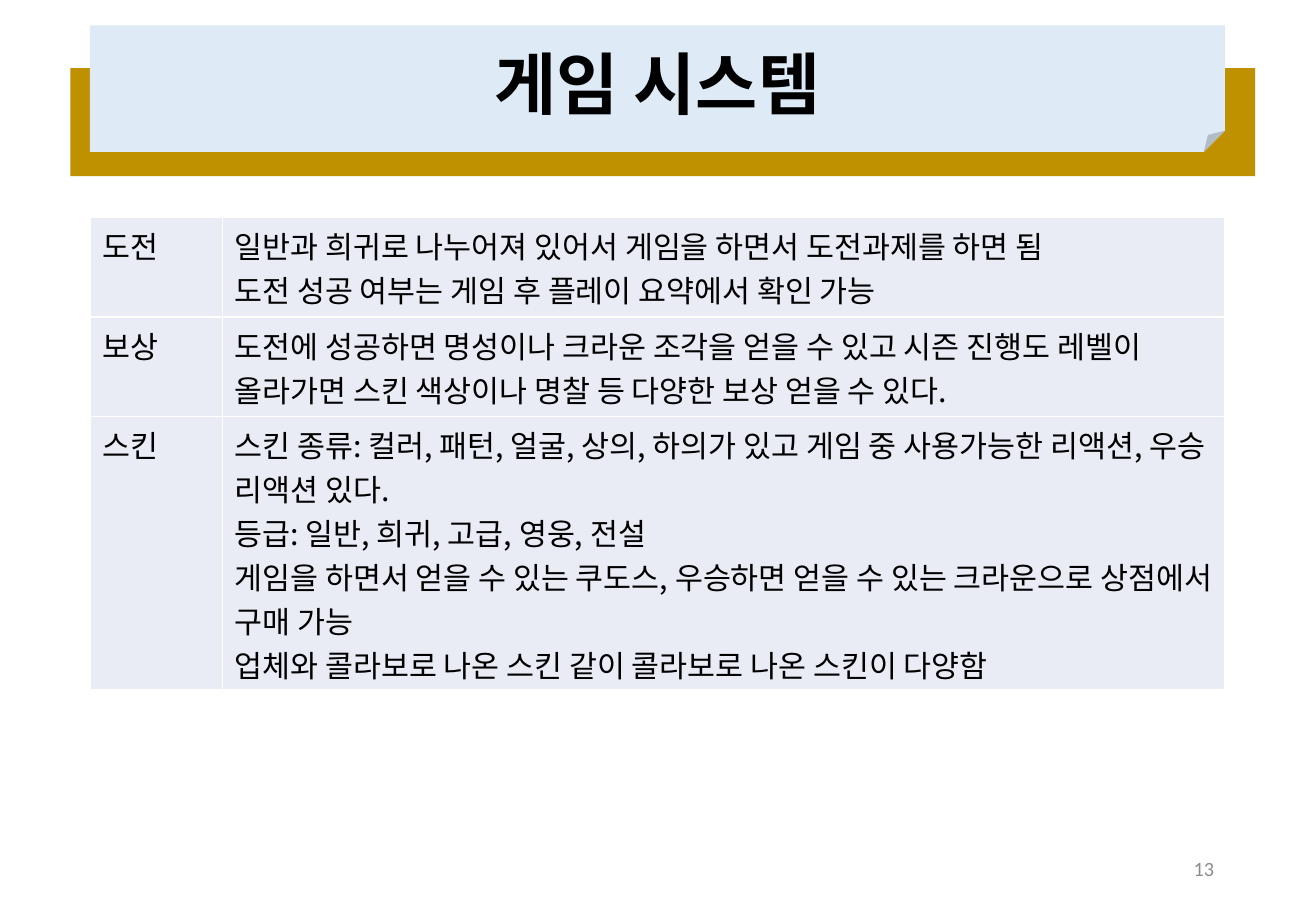
from lxml import etree
from pptx import Presentation
from pptx.dml.color import RGBColor
from pptx.enum.shapes import MSO_SHAPE
from pptx.enum.text import MSO_ANCHOR, PP_ALIGN
from pptx.oxml.ns import qn
from pptx.util import Inches, Pt

RECTANGLE, FOLDED_CORNER = MSO_SHAPE.RECTANGLE, MSO_SHAPE.FOLDED_CORNER
MIDDLE = MSO_ANCHOR.MIDDLE
LEFT, CENTER, RIGHT = PP_ALIGN.LEFT, PP_ALIGN.CENTER, PP_ALIGN.RIGHT
KOREAN, LATIN = "Noto Sans CJK KR", "Calibri"
GOLD, PALE_BLUE, CELL_GREY = "BF9000", "DEEBF7", "E9EBF5"
BLACK, WHITE, GREY = "000000", "FFFFFF", "8C8C8C"

GAME_SYSTEMS = [
    ("도전", ["일반과 희귀로 나누어져 있어서 게임을 하면서 도전과제를 하면 됨",
             "도전 성공 여부는 게임 후 플레이 요약에서 확인 가능"], 0.82),
    ("보상", ["도전에 성공하면 명성이나 크라운 조각을 얻을 수 있고 시즌 진행도 레벨이 "
             "올라가면 스킨 색상이나 명찰 등 다양한 보상 얻을 수 있다."], 0.82),
    ("스킨", ["스킨 종류: 컬러, 패턴, 얼굴, 상의, 하의가 있고 게임 중 사용가능한 "
             "리액션, 우승 리액션 있다.",
             "등급: 일반, 희귀, 고급, 영웅, 전설",
             "게임을 하면서 얻을 수 있는 쿠도스, 우승하면 얻을 수 있는 크라운으로 "
             "상점에서 구매 가능",
             "업체와 콜라보로 나온 스킨 같이 콜라보로 나온 스킨이 다양함"], 2.25),
]


def color(hex_code):
    """Turn a hex string into a colour."""
    return RGBColor.from_string(hex_code)


def write(frame, lines, size, font_name, hex_code, align=LEFT, bold=False, spacing=1.0):
    """Fill a text frame with one paragraph per line in a single style."""
    frame.word_wrap = True
    frame.text = "\n".join(lines)
    for paragraph in frame.paragraphs:
        paragraph.alignment = align
        paragraph.line_spacing = spacing
        font = paragraph.font
        font.size, font.bold, font.name = Pt(size), bold, font_name
        font.color.rgb = color(hex_code)
        defaults = paragraph._p.pPr.find(qn("a:defRPr"))
        etree.SubElement(defaults, qn("a:ea"), typeface=font_name)


def add_panel(slide, preset, left, top, width, height, hex_code):
    """Add a flat filled shape without outline."""
    panel = slide.shapes.add_shape(
        preset, Inches(left), Inches(top), Inches(width), Inches(height))
    panel.shadow.inherit = False
    panel.fill.solid()
    panel.fill.fore_color.rgb = color(hex_code)
    panel.line.fill.background()


def add_label(slide, left, top, width, height, text, **style):
    """Add a vertically centred line of text."""
    label = slide.shapes.add_textbox(
        Inches(left), Inches(top), Inches(width), Inches(height))
    label.text_frame.vertical_anchor = MIDDLE
    write(label.text_frame, [text], **style)


def add_banner(slide, left, top, width, height, title):
    """Draw the title on a folded sheet in front of a gold bar."""
    add_panel(slide, RECTANGLE, left - 0.16, top + 0.56, width + 0.41, height - 0.56, GOLD)
    add_panel(slide, FOLDED_CORNER, left, top + 0.21, width, 1.04, PALE_BLUE)
    add_label(slide, left, top, width, height, title, size=40, font_name=KOREAN,
              hex_code=BLACK, align=CENTER, bold=True, spacing=0.9)


def style_cell(cell):
    """Give a cell its fill and thin white borders."""
    properties = cell._tc.get_or_add_tcPr()
    for side in ("a:lnL", "a:lnR", "a:lnT", "a:lnB"):
        border = etree.SubElement(properties, qn(side), w=str(Pt(1)))
        border_fill = etree.SubElement(border, qn("a:solidFill"))
        etree.SubElement(border_fill, qn("a:srgbClr"), val=WHITE)
    cell.fill.solid()
    cell.fill.fore_color.rgb = color(CELL_GREY)


def add_system_table(slide, left, top, width, systems):
    """Lay out each game system as a topic cell and a description cell."""
    height = sum(row_height for _, _, row_height in systems)
    table = slide.shapes.add_table(
        len(systems), 2, Inches(left), Inches(top), Inches(width), Inches(height)).table
    table.first_row = table.horz_banding = False
    topic_width = 1.09
    table.columns[0].width = Inches(topic_width)
    table.columns[1].width = Inches(width - topic_width)
    for row, (topic, description, row_height) in zip(table.rows, systems):
        row.height = Inches(row_height)
        for cell, lines in zip(row.cells, ([topic], description)):
            style_cell(cell)
            write(cell.text_frame, lines, 18, KOREAN, BLACK)


def main():
    """Build the game system slide."""
    deck = Presentation()
    deck.slide_width, deck.slide_height = Inches(10.83), Inches(7.5)
    slide = deck.slides.add_slide(deck.slide_layouts[6])
    left, width = 0.74, 9.34
    add_banner(slide, left, 0, width, 1.45, "게임 시스템")
    add_system_table(slide, left, 1.79, width, GAME_SYSTEMS)
    add_label(slide, 7.65, 6.95, 2.44, 0.4, "13", size=12, font_name=LATIN,
              hex_code=GREY, align=RIGHT)
    deck.save("out.pptx")


if __name__ == "__main__":
    main()
